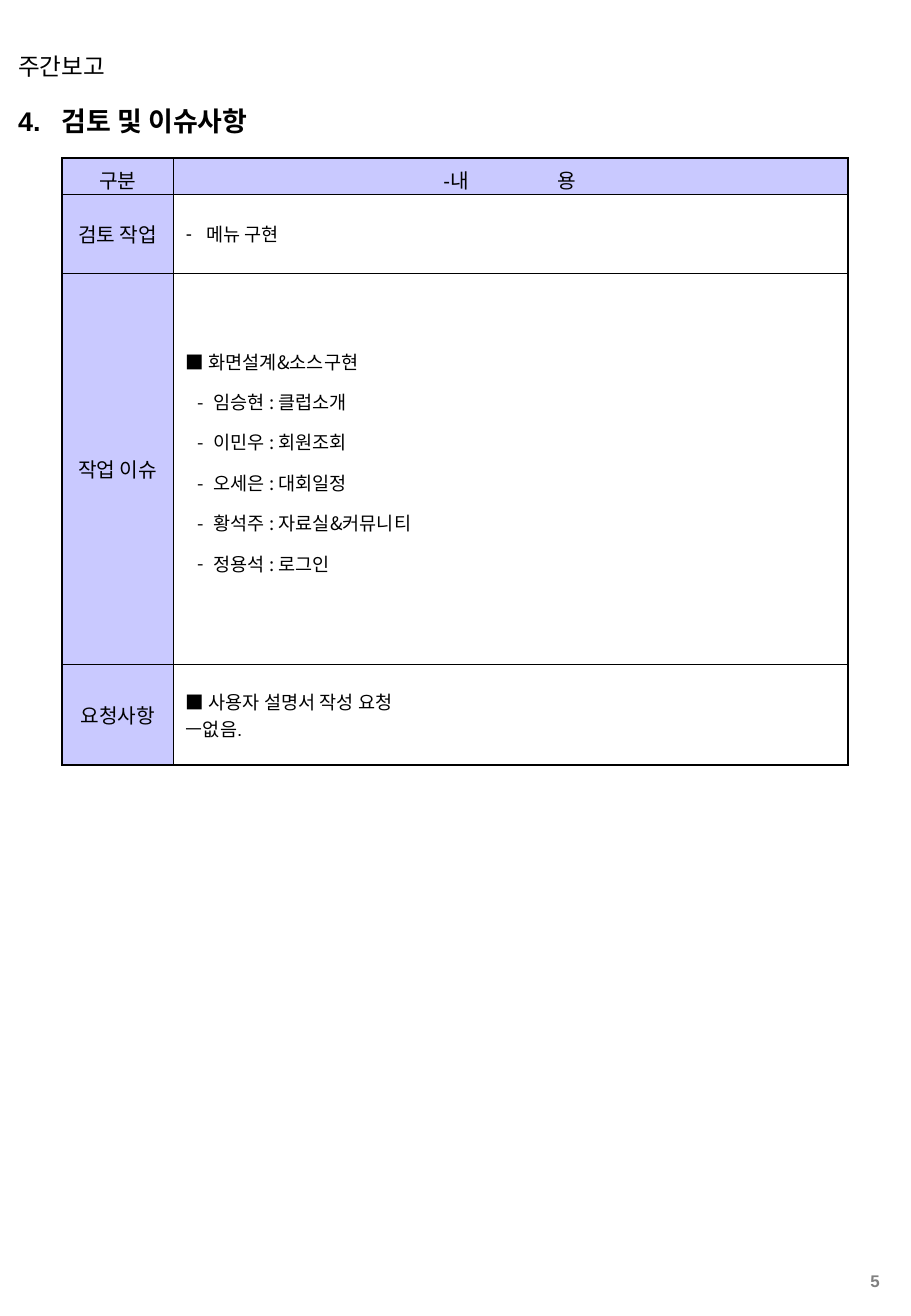
import pptx
import pptx.util
import pptx.dml.color
import pptx.enum.text
import pptx.oxml
import pptx.oxml.ns
import lxml.etree
from dataclasses import dataclass

Inches = pptx.util.Inches
Pt = pptx.util.Pt
RGB = pptx.dml.color.RGBColor.from_string
ALIGN = pptx.enum.text.PP_ALIGN
ANCHOR = pptx.enum.text.MSO_ANCHOR
qn = pptx.oxml.ns.qn


@dataclass(frozen=True)
class Theme:
    black: str = "000000"
    grey: str = "808080"
    lilac: str = "C9C9FF"
    latin: str = "Arial"
    korean: str = "Noto Sans CJK KR"
    title: int = 16
    report: int = 14
    label: int = 12
    body: int = 11
    number: int = 10
    outer: float = 1.08
    inner: float = 0.45


T = Theme()


def add_run(p, text, size, font=T.latin, color=T.black, bold=False):
    r = p.add_run()
    r.text = text
    r.font.size = Pt(size)
    r.font.bold = bold
    r.font.color.rgb = RGB(color)
    r.font.name = font
    ea = lxml.etree.SubElement(r.font._element, qn("a:ea"))
    ea.set("typeface", T.korean)


def hang(p, left, first):
    pPr = p._p.get_or_add_pPr()
    pPr.set("marL", str(Inches(left)))
    pPr.set("indent", str(Inches(first - left)))
    return pPr


def add_dash(p, left, first, font):
    pPr = hang(p, left, first)
    lxml.etree.SubElement(pPr, qn("a:buFont")).set("typeface", font)
    lxml.etree.SubElement(pPr, qn("a:buChar")).set("char", "-")


def add_tab(p, position):
    tabs = lxml.etree.SubElement(p._p.get_or_add_pPr(), qn("a:tabLst"))
    tab = lxml.etree.SubElement(tabs, qn("a:tab"))
    tab.set("pos", str(Inches(position)))
    tab.set("algn", "l")


def set_border(cell, side, width):
    ln = lxml.etree.SubElement(cell._tc.get_or_add_tcPr(), qn(f"a:ln{side}"))
    ln.set("w", str(Pt(width)))
    fill = lxml.etree.SubElement(ln, qn("a:solidFill"))
    lxml.etree.SubElement(fill, qn("a:srgbClr")).set("val", T.black)


def add_line(s, box, text, size, align=ALIGN.LEFT, **style):
    tf = s.shapes.add_textbox(*map(Inches, box)).text_frame
    tf.word_wrap = True
    p = tf.paragraphs[0]
    p.alignment = align
    add_run(p, text, size, **style)


def place_title(s, box):
    sp = s.shapes.title
    sp.left, sp.top, sp.width, sp.height = map(Inches, box)
    tf = sp.text_frame
    tf.word_wrap = True
    tf.auto_size = pptx.enum.text.MSO_AUTO_SIZE.NONE
    tf.vertical_anchor = ANCHOR.TOP
    p = tf.paragraphs[0]
    hang(p, 0.36, 0)
    p.alignment = ALIGN.LEFT
    add_run(p, "4.\t검토 및 이슈사항", T.title, bold=True)


def fill_header(cell):
    cell.margin_left = Inches(2.22)
    p = cell.text_frame.paragraphs[0]
    add_tab(p, 0.94)
    add_run(p, "-내\t용", T.label)


def fill_review(cell):
    p = cell.text_frame.paragraphs[0]
    add_dash(p, 0.17, 0, T.latin)
    add_run(p, "메뉴 구현", T.body)


def fill_issues(cell):
    cell.margin_bottom = Inches(0.27)
    tf = cell.text_frame
    p = tf.paragraphs[0]
    p.line_spacing = 1.5
    add_run(p, "■ 화면설계&소스구현", T.body, T.korean)
    tasks = [("임승현", "클럽소개"), ("이민우", "회원조회"), ("오세은", "대회일정"),
             ("황석주", "자료실&커뮤니티"), ("정용석", "로그인")]
    for person, task in tasks:
        p = tf.add_paragraph()
        add_dash(p, 0.23, 0.1, T.korean)
        p.line_spacing = 1.5
        add_run(p, f"{person} : {task}", T.body, T.korean)


def fill_requests(cell):
    tf = cell.text_frame
    p = tf.paragraphs[0]
    add_run(p, "■ ", T.body, T.korean)
    add_run(p, "사용자 설명서 작성 요청", T.body)
    add_run(tf.add_paragraph(), "ㅡ없음.", T.body)


def add_issue_table(s, box):
    rows = [("구분", 0.3, fill_header), ("검토 작업", 0.65, fill_review),
            ("작업 이슈", 3.22, fill_issues), ("요청사항", 0.83, fill_requests)]
    table = s.shapes.add_table(len(rows), 2, *map(Inches, box)).table
    table.first_row = table.horz_banding = False
    label_width = 0.92
    table.columns[0].width = Inches(label_width)
    table.columns[1].width = Inches(box[2] - label_width)
    last = len(rows) - 1
    for i, (label, height, fill_content) in enumerate(rows):
        table.rows[i].height = Inches(height)
        for j in range(2):
            cell = table.cell(i, j)
            cell.vertical_anchor = ANCHOR.MIDDLE
            edges = {"L": j == 0, "R": j == 1, "T": i == 0, "B": i == last}
            for side, is_outer in edges.items():
                set_border(cell, side, T.outer if is_outer else T.inner)
            if i == 0 or j == 0:
                cell.fill.solid()
                cell.fill.fore_color.rgb = RGB(T.lilac)
            else:
                cell.fill.background()
            if i == 0:
                cell.margin_top, cell.margin_bottom = Inches(0.06), 0
            if j == 0:
                cell.margin_left = cell.margin_right = Inches(0.05)
                p = cell.text_frame.paragraphs[0]
                p.alignment = ALIGN.CENTER
                add_run(p, label, T.label)
            else:
                fill_content(cell)


def main():
    prs = pptx.Presentation()
    prs.slide_width, prs.slide_height = Inches(7.5), Inches(10.84)
    s = prs.slides.add_slide(prs.slide_layouts[5])
    add_line(s, (0.05, 0.38, 5.95, 0.34), "주간보고", T.report)
    place_title(s, (0.05, 0.81, 5.36, 0.37))
    add_issue_table(s, (0.51, 1.3, 6.47, 5))
    add_line(s, (6.78, 10.42, 0.56, 0.24), "5", T.number, ALIGN.RIGHT,
             color=T.grey, bold=True)
    prs.save("out.pptx")


if __name__ == "__main__":
    main()
